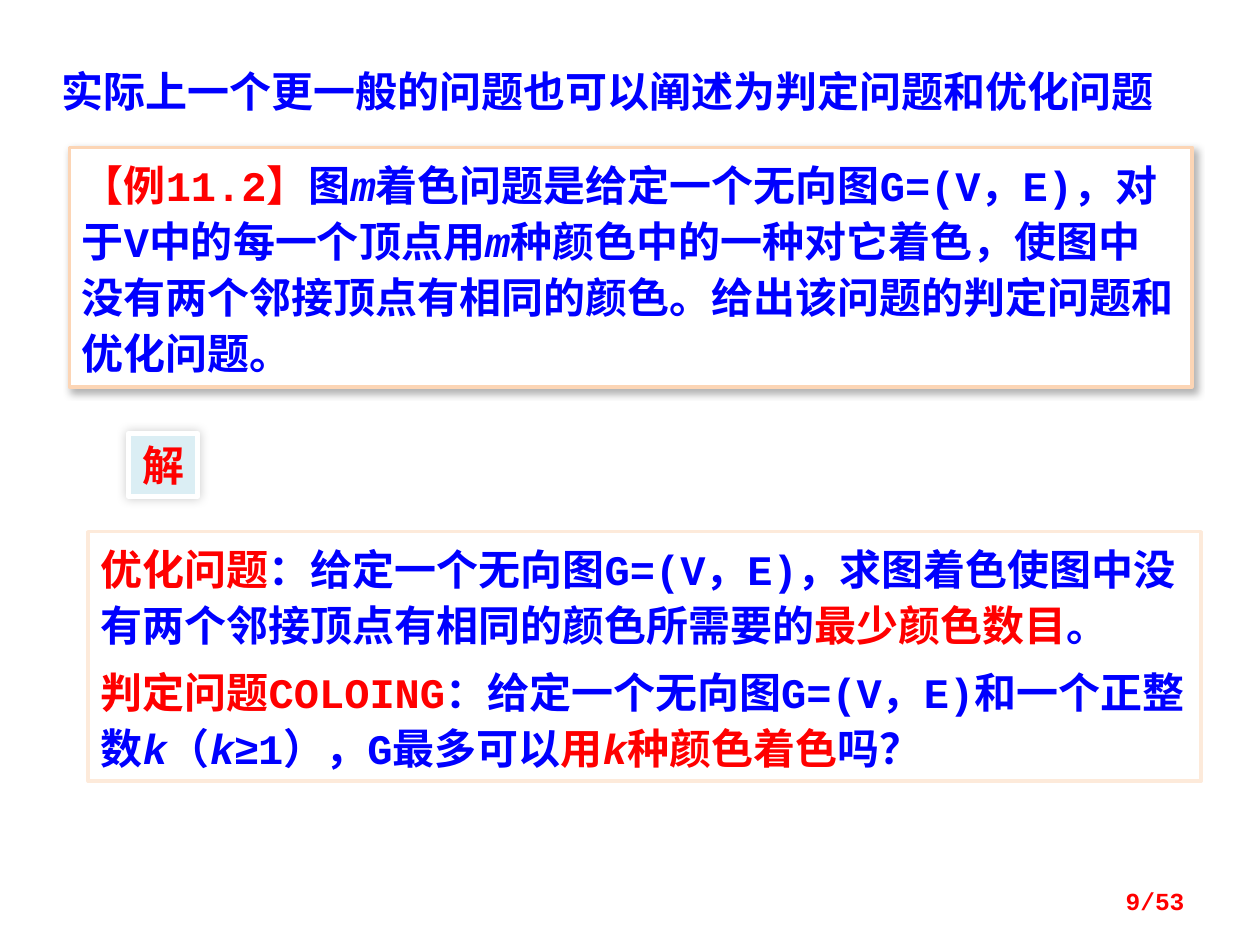
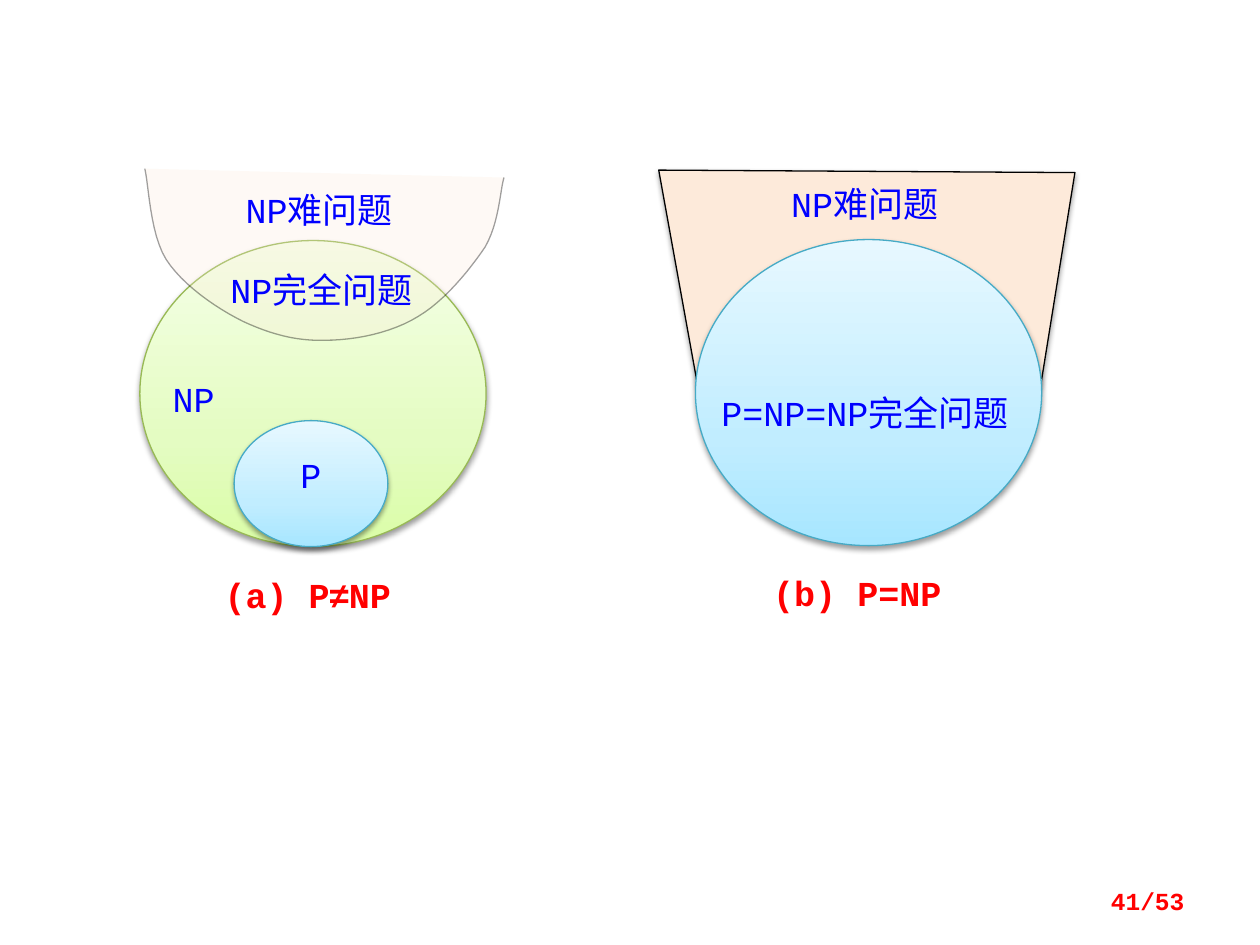
from typing import NamedTuple, Optional

from lxml import etree
from pptx import Presentation
from pptx import util as u
from pptx.dml.color import RGBColor
from pptx.enum import shapes, text
from pptx.oxml.ns import qn

# Shared colours and fonts
BLUE = RGBColor(0x00, 0x00, 0xFF)
RED = RGBColor(0xFF, 0x00, 0x00)
BLACK = RGBColor(0x00, 0x00, 0x00)
WHITE = RGBColor(0xFF, 0xFF, 0xFF)
ORANGE = RGBColor(0xFC, 0xD5, 0xB5)
PEACH = RGBColor(0xFD, 0xEA, 0xDA)
PALE_BLUE = RGBColor(0xDB, 0xEE, 0xF4)
GREEN_EDGE = RGBColor(0x98, 0xB9, 0x55)
CYAN_EDGE = RGBColor(0x46, 0xAA, 0xC5)
GREENS = (RGBColor(0xDA, 0xFD, 0xA7), RGBColor(0xE4, 0xFC, 0xC2), RGBColor(0xF5, 0xFF, 0xE7))
CYANS = (RGBColor(0xA7, 0xE6, 0xFF), RGBColor(0xC1, 0xED, 0xFF), RGBColor(0xE7, 0xF8, 0xFF))
MONO, HAN, SANS = "Courier New", "Noto Sans CJK SC", "Arial"
LEFT, CENTER, RIGHT = text.PP_ALIGN.LEFT, text.PP_ALIGN.CENTER, text.PP_ALIGN.RIGHT


class Box(NamedTuple):
    """Left, top, width and height in centimetres."""
    left: float
    top: float
    width: float
    height: float

    def emu(self) -> list:
        return [u.Cm(side) for side in self]


class Run(NamedTuple):
    text: str
    color: RGBColor = BLUE
    italic: bool = False
    font: str = MONO


class TextStyle(NamedTuple):
    size: int
    bold: bool = False
    align: text.PP_ALIGN = LEFT
    line_pt: Optional[int] = None
    gap_pt: int = 0
    insets: tuple = (0.25, 0.13, 0.25, 0.13)
    anchor: text.MSO_ANCHOR = text.MSO_ANCHOR.TOP


class Shadow(NamedTuple):
    opacity: int
    blur: float
    distance: float
    angle: int


class Panel(NamedTuple):
    box: Box
    fill: RGBColor
    edge: RGBColor
    edge_pt: float
    shadow: Optional[Shadow]
    style: TextStyle
    paragraphs: list


class ProblemSet(NamedTuple):
    box: Box
    colors: tuple
    edge: RGBColor


class Label(NamedTuple):
    box: Box
    runs: list
    bold: bool = False


TITLE = TextStyle(24, bold=True)
BODY = TextStyle(24, bold=True, line_pt=32, gap_pt=6)
BADGE = TextStyle(24, bold=True, align=CENTER)
PAGE = TextStyle(14, bold=True, align=RIGHT, anchor=text.MSO_ANCHOR.MIDDLE)
SET_LABEL = TextStyle(20, align=CENTER, insets=(0, 0, 0, 0))
SOFT = Shadow(38, 3.1, 1.6, 90)


def write(shape, style: TextStyle, paragraphs: list) -> None:
    frame = shape.text_frame
    frame.word_wrap = True
    frame.vertical_anchor = style.anchor
    (frame.margin_left, frame.margin_top,
     frame.margin_right, frame.margin_bottom) = [u.Cm(inset) for inset in style.insets]
    for index, runs in enumerate(paragraphs):
        paragraph = frame.add_paragraph() if index else frame.paragraphs[0]
        paragraph.alignment = style.align
        if style.line_pt:
            paragraph.line_spacing = u.Pt(style.line_pt)
        if index:
            paragraph.space_before = u.Pt(style.gap_pt)
        for part in runs:
            run = paragraph.add_run()
            run.text = part.text
            run.font.size = u.Pt(style.size)
            run.font.bold = style.bold
            run.font.italic = part.italic
            run.font.name = part.font
            run.font.color.rgb = part.color
            etree.SubElement(run.font._element, qn("a:ea"), typeface=HAN)


def add_text(slide, box: Box, style: TextStyle, runs: list) -> None:
    write(slide.shapes.add_textbox(*box.emu()), style, [runs])


def set_edge(shape, color: RGBColor, width_pt: float) -> None:
    shape.line.color.rgb = color
    shape.line.width = u.Pt(width_pt)


def set_shadow(shape, shadow: Optional[Shadow]) -> None:
    shape.shadow.inherit = False
    if shadow is None:
        return
    effects = shape._element.spPr.find(qn("a:effectLst"))
    outer = etree.SubElement(
        effects, qn("a:outerShdw"), blurRad=str(u.Pt(shadow.blur)),
        dist=str(u.Pt(shadow.distance)), dir=str(shadow.angle * 60000), rotWithShape="0")
    color = etree.SubElement(outer, qn("a:srgbClr"), val=str(BLACK))
    etree.SubElement(color, qn("a:alpha"), val=str(shadow.opacity * 1000))


def set_gradient(shape, colors: tuple) -> None:
    """Three stops running from the bottom to the top."""
    shape.fill.gradient()
    gradient = shape._element.spPr.find(qn("a:gradFill"))
    for child in list(gradient):
        gradient.remove(child)
    stops = etree.SubElement(gradient, qn("a:gsLst"))
    for position, color in zip((0, 35, 100), colors):
        stop = etree.SubElement(stops, qn("a:gs"), pos=str(position * 1000))
        etree.SubElement(stop, qn("a:srgbClr"), val=str(color))
    etree.SubElement(gradient, qn("a:lin"), ang=str(270 * 60000), scaled="0")


def set_opacity(color_format_parent, percent: int) -> None:
    color = color_format_parent.find(qn("a:solidFill")).find(qn("a:srgbClr"))
    etree.SubElement(color, qn("a:alpha"), val=str(percent * 1000))


def add_panel(slide, panel: Panel) -> None:
    shape = slide.shapes.add_shape(shapes.MSO_SHAPE.RECTANGLE, *panel.box.emu())
    shape.fill.solid()
    shape.fill.fore_color.rgb = panel.fill
    set_edge(shape, panel.edge, panel.edge_pt)
    set_shadow(shape, panel.shadow)
    write(shape, panel.style, panel.paragraphs)


def add_problem_set(slide, problem_set: ProblemSet):
    ellipse = slide.shapes.add_shape(shapes.MSO_SHAPE.OVAL, *problem_set.box.emu())
    set_gradient(ellipse, problem_set.colors)
    set_edge(ellipse, problem_set.edge, 0.75)
    set_shadow(ellipse, SOFT)
    return ellipse


def add_region(slide, points: list, closed: bool, shadow: Optional[Shadow]):
    start, *rest = [(u.Cm(x), u.Cm(y)) for x, y in points]
    builder = slide.shapes.build_freeform(*start)
    builder.add_line_segments(rest, close=closed)
    region = builder.convert_to_shape()
    region.fill.solid()
    region.fill.fore_color.rgb = PEACH
    set_edge(region, BLACK, 0.75)
    set_shadow(region, shadow)
    return region


def bezier_points(knots: list, steps: int = 12) -> list:
    """Points along joined cubic curves: a start, then three knots per curve."""
    points = [knots[0]]
    for first in range(0, len(knots) - 1, 3):
        curve = knots[first:first + 4]
        for step in range(1, steps + 1):
            t = step / steps
            weights = ((1 - t) ** 3, 3 * t * (1 - t) ** 2, 3 * t * t * (1 - t), t ** 3)
            points.append(tuple(sum(w * knot[axis] for w, knot in zip(weights, curve))
                                for axis in (0, 1)))
    return points


def add_page_number(slide, number: int) -> None:
    add_text(slide, Box(18.21, 17.65, 5.92, 1.02), PAGE, [Run(f"{number}/53", RED)])


def coloring_slide(slide) -> None:
    example = [
        Run("【例11.2】", RED), Run("图"), Run("m", italic=True),
        Run("着色问题是给定一个无向图G=(V，E)，对于V中的每一个顶点用"),
        Run("m", italic=True),
        Run("种颜色中的一种对它着色，使图中没有两个邻接顶点有相同的颜色。"
            "给出该问题的判定问题和优化问题。"),
    ]
    optimization = [
        Run("优化问题", RED, font=HAN),
        Run("：给定一个无向图G=(V，E)，求图着色使图中没有两个邻接顶点有相同的颜色所需要的"),
        Run("最少颜色数目", RED), Run("。"),
    ]
    decision = [
        Run("判定问题COLOING", RED), Run("：给定一个无向图G=(V，E)和一个正整数"),
        Run("k", italic=True), Run("（"), Run("k", italic=True), Run("≥", font=SANS),
        Run("1），G最多可以"), Run("用", RED), Run("k", RED, italic=True),
        Run("种颜色着色", RED), Run("吗？"),
    ]
    panels = (
        Panel(Box(1.4, 2.97, 22.63, 4.83), WHITE, ORANGE, 2,
              Shadow(30, 4.5, 2.6, 53), BODY, [example]),
        Panel(Box(2.59, 8.74, 1.4, 1.27), PALE_BLUE, WHITE, 3,
              Shadow(20, 6, 0, 225), BADGE, [[Run("解", RED, font=HAN)]]),
        Panel(Box(1.78, 10.72, 22.43, 5.03), WHITE, PEACH, 2,
              None, BODY, [optimization, decision]),
    )
    for panel in panels:
        add_panel(slide, panel)
    add_text(slide, Box(0.99, 1.19, 23.22, 1.27), TITLE,
             [Run("实际上一个更一般的问题也可以阐述为判定问题和优化问题")])


def complexity_slide(slide) -> None:
    # (a) NP with P inside, overlapped by the NP-hard region
    add_problem_set(slide, ProblemSet(Box(2.82, 4.85, 6.98, 6.17), GREENS, GREEN_EDGE))
    p_set = add_problem_set(slide, ProblemSet(Box(4.72, 8.48, 3.1, 2.54), CYANS, CYAN_EDGE))
    write(p_set, SET_LABEL._replace(insets=(0, 0.3, 0, 0)), [[Run("P")]])
    hard_outline = [
        (2.92, 3.4), (3.0, 3.71), (3.02, 4.7), (3.35, 5.23),
        (3.68, 5.74), (4.34, 6.2), (4.9, 6.48),
        (5.44, 6.73), (5.97, 6.88), (6.55, 6.86),
        (7.16, 6.86), (7.9, 6.71), (8.43, 6.38),
        (8.96, 6.07), (9.47, 5.44), (9.78, 4.98),
        (10.06, 4.5), (10.08, 3.86), (10.16, 3.58),
    ]
    hard_region = add_region(slide, bezier_points(hard_outline), False, None)
    properties = hard_region._element.spPr
    set_opacity(properties, 26)
    set_opacity(properties.find(qn("a:ln")), 37)

    # (b) P, NP and NP-complete coincide
    add_region(slide, [(20.98, 7.77), (14.07, 7.8), (13.28, 3.43), (21.67, 3.48)], True, SOFT)
    add_problem_set(slide, ProblemSet(Box(14.02, 4.83, 6.98, 6.17), CYANS, CYAN_EDGE))

    # Set names and captions
    labels = (
        Label(Box(3.18, 7.62, 1.45, 0.86), [Run("NP")]),
        Label(Box(4.62, 5.41, 3.73, 0.81), [Run("NP完全问题")]),
        Label(Box(4.57, 3.81, 3.73, 0.81), [Run("NP难问题")]),
        Label(Box(4.34, 11.56, 3.73, 0.81),
              [Run("(a) P", RED), Run("≠", RED, font=SANS), Run("NP", RED)], bold=True),
        Label(Box(14.43, 7.9, 6.02, 0.86), [Run("P=NP=NP完全问题")]),
        Label(Box(15.57, 3.68, 3.73, 0.81), [Run("NP难问题")]),
        Label(Box(15.42, 11.53, 3.73, 0.81), [Run("(b) P=NP", RED)], bold=True),
    )
    for label in labels:
        add_text(slide, label.box, SET_LABEL._replace(bold=label.bold), label.runs)


def main() -> None:
    deck = Presentation()
    deck.slide_width, deck.slide_height = u.Cm(25.4), u.Cm(19.05)
    blank = deck.slide_layouts[6]
    for number, draw in ((9, coloring_slide), (41, complexity_slide)):
        slide = deck.slides.add_slide(blank)
        draw(slide)
        add_page_number(slide, number)
    deck.save("out.pptx")


if __name__ == "__main__":
    main()
